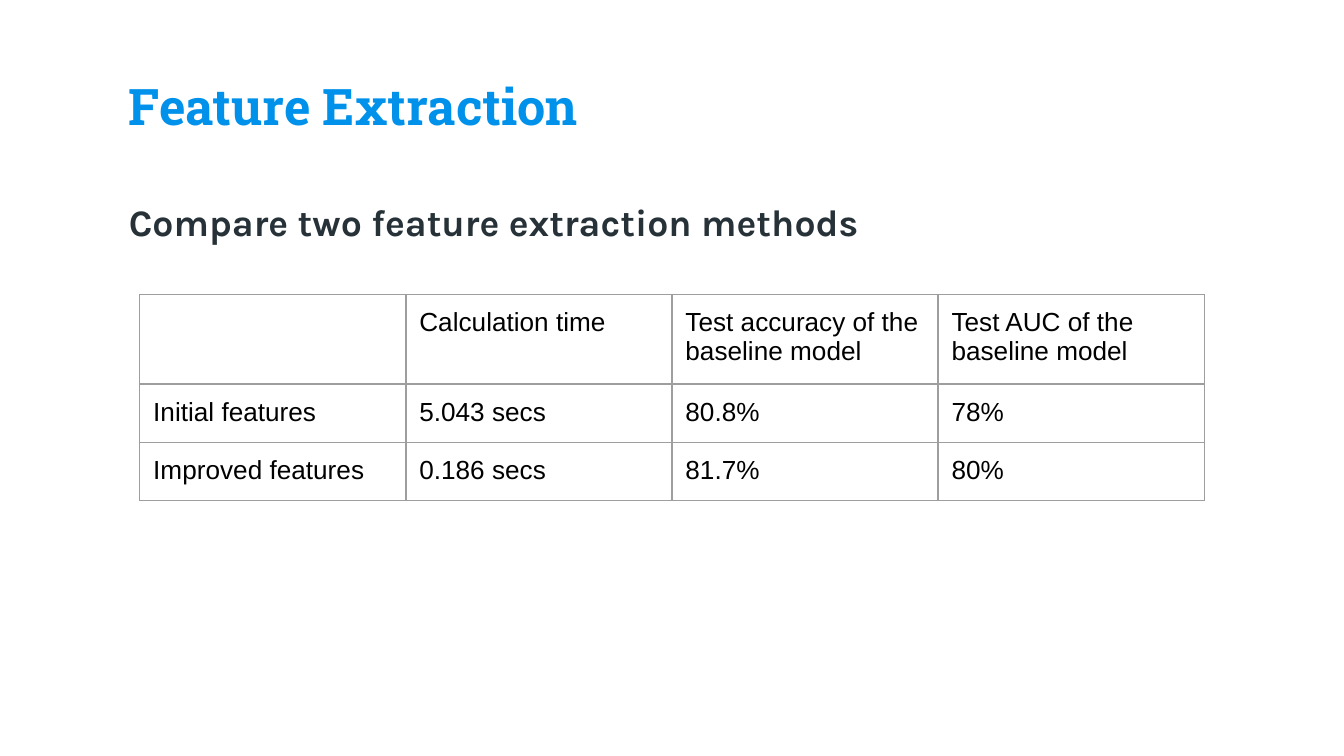
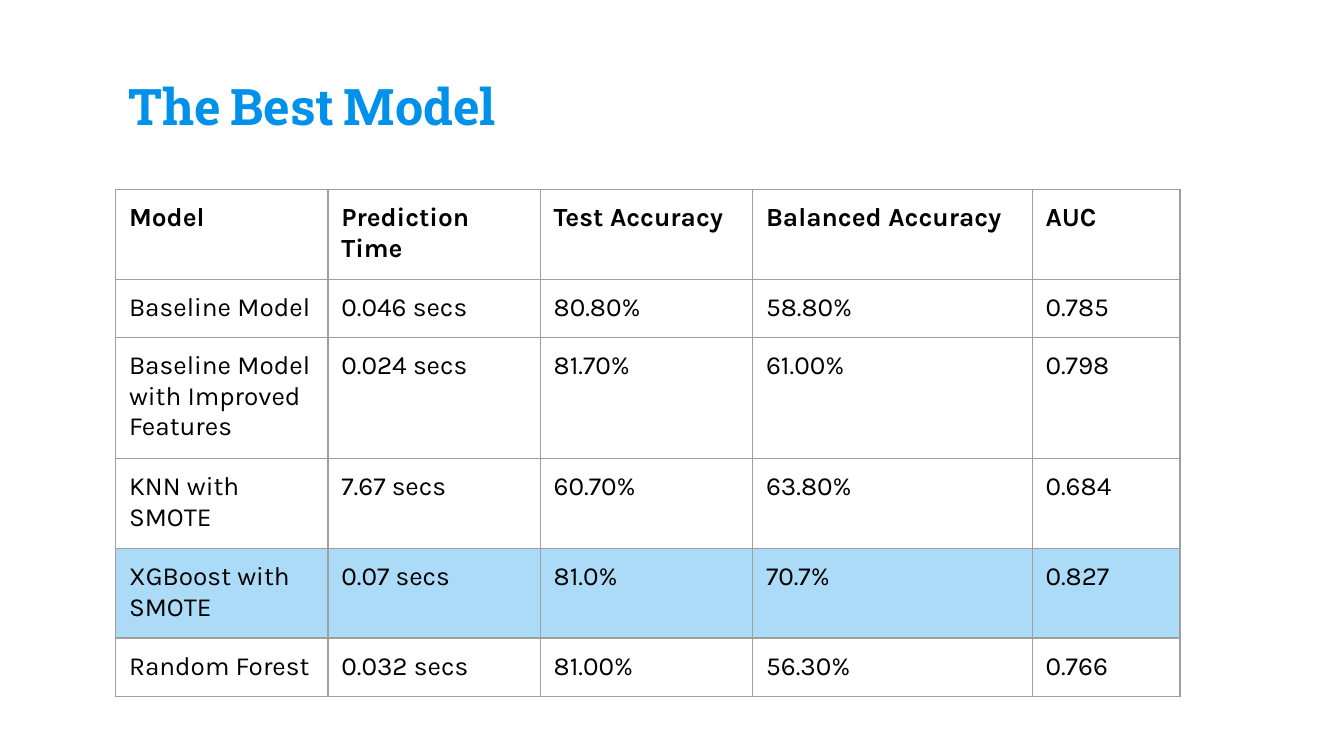
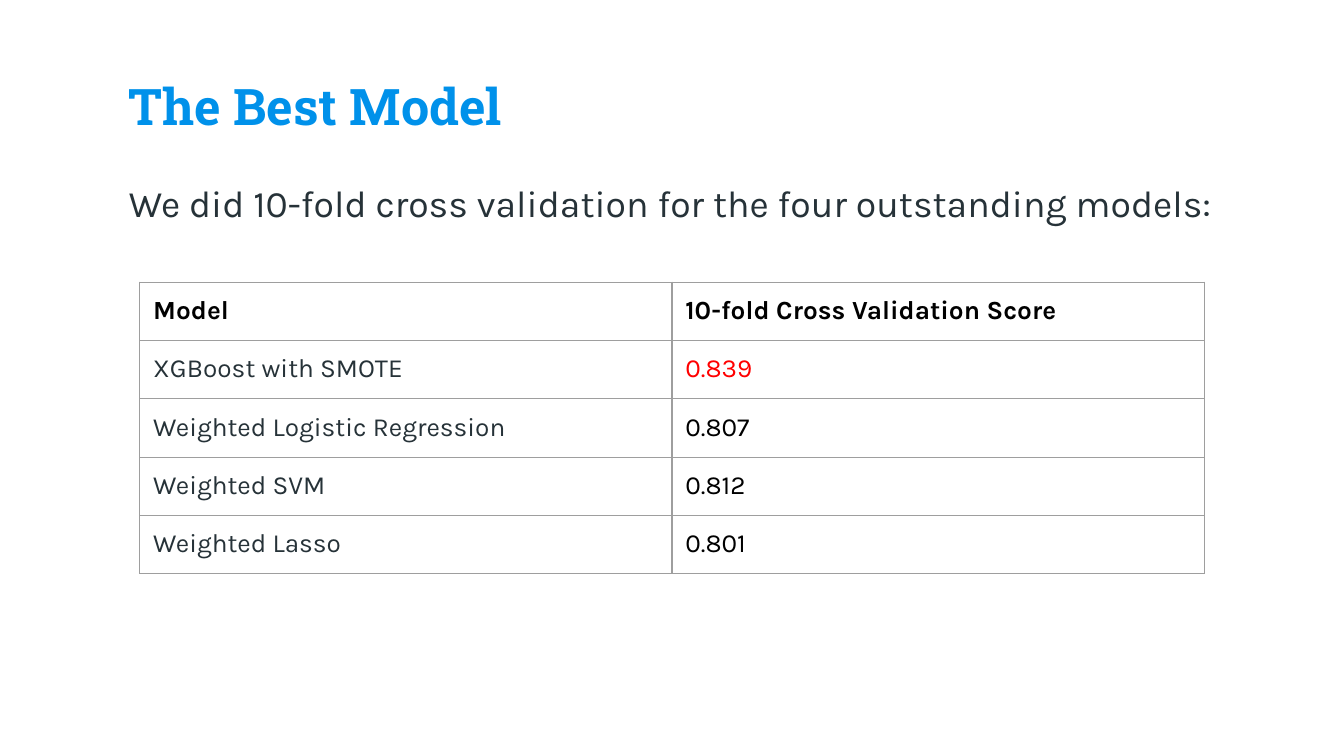
from dataclasses import dataclass

from lxml.etree import SubElement
from pptx import Presentation
from pptx.dml.color import RGBColor
from pptx.enum.text import MSO_ANCHOR
from pptx.oxml.ns import qn
from pptx.util import Inches, Pt


@dataclass(frozen=True)
class Theme:
    title_font: str = "Roboto Slab"
    body_font: str = "Karla"
    plain_font: str = "Arial"
    title_size: float = 27
    lead_size: float = 20
    cell_size: float = 14
    accent: str = "0091EA"
    ink: str = "263238"
    black: str = "000000"
    best_score: str = "FF0000"
    highlight: str = "ACDBF8"
    grid: str = "9E9E9E"
    grid_width: float = 0.75
    lead_gap: float = 6
    inset: float = 0.1


@dataclass(frozen=True)
class Style:
    font: str
    size: float
    color: str
    bold: bool = False


THEME = Theme()
TITLE = Style(THEME.title_font, THEME.title_size, THEME.accent, True)
TITLE_GAP = Style(THEME.title_font, THEME.lead_size, THEME.accent)
LEAD = Style(THEME.body_font, THEME.lead_size, THEME.ink)
LEAD_BOLD = Style(THEME.body_font, THEME.lead_size, THEME.ink, True)
PLAIN = Style(THEME.plain_font, THEME.cell_size, THEME.black)
HEADER = Style(THEME.body_font, THEME.cell_size, THEME.black, True)
VALUE = Style(THEME.body_font, THEME.cell_size, THEME.black)
MODEL_NAME = Style(THEME.body_font, THEME.cell_size, THEME.ink)
BEST_SCORE = Style(THEME.body_font, THEME.cell_size, THEME.best_score)

SLIDE_WIDTH = Inches(10)
SLIDE_HEIGHT = SLIDE_WIDTH * 9 // 16
TITLE_BOX = (0.86, 0.34, 8.28, 0.77)
TABLE_WIDTH = 7.92


def add_run(paragraph, words, style):
    run = paragraph.add_run()
    run.text = words
    run.font.name = style.font
    run.font.size = Pt(style.size)
    run.font.bold = style.bold
    run.font.color.rgb = RGBColor.from_string(style.color)


def set_insets(target):
    for side in ("left", "top", "right", "bottom"):
        setattr(target, f"margin_{side}", Inches(THEME.inset))


def add_text(slide, box, runs, anchor=MSO_ANCHOR.TOP, space_before=0):
    frame = slide.shapes.add_textbox(*map(Inches, box)).text_frame
    frame.word_wrap = True
    frame.vertical_anchor = anchor
    set_insets(frame)
    paragraph = frame.paragraphs[0]
    paragraph.space_before = Pt(space_before)
    for words, style in runs:
        add_run(paragraph, words, style)


def add_title(slide, runs):
    add_text(slide, TITLE_BOX, runs, MSO_ANCHOR.BOTTOM)


def add_lead(slide, top, words, style):
    left, _, width, _ = TITLE_BOX
    add_text(slide, (left, top, width, 3.91), [(words, style)],
             space_before=THEME.lead_gap)


def add_borders(cell):
    properties = cell._tc.get_or_add_tcPr()
    for position, edge in enumerate(("lnL", "lnR", "lnT", "lnB")):
        line = SubElement(properties, qn(f"a:{edge}"), w=str(Pt(THEME.grid_width)))
        fill = SubElement(line, qn("a:solidFill"))
        SubElement(fill, qn("a:srgbClr"), val=THEME.grid)
        properties.insert(position, line)


def add_grid(slide, box, widths, row_height, rows, style_at, best_row=None):
    holder = slide.shapes.add_table(
        len(rows), len(widths), *map(Inches, box))
    table = holder.table
    table.first_row = False
    table.horz_banding = False
    for column, width in zip(table.columns, widths):
        column.width = Inches(width)
    for row in table.rows:
        row.height = Inches(row_height)
    holder.height = Inches(box[3])
    for row_index, row in enumerate(rows):
        for column_index, words in enumerate(row):
            cell = table.cell(row_index, column_index)
            set_insets(cell)
            if row_index == best_row:
                cell.fill.solid()
                cell.fill.fore_color.rgb = RGBColor.from_string(THEME.highlight)
            else:
                cell.fill.background()
            add_borders(cell)
            style = style_at(row_index, column_index)
            paragraph = cell.text_frame.paragraphs[0]
            if style is MODEL_NAME:
                paragraph.space_before = Pt(THEME.lead_gap)
            if words:
                add_run(paragraph, words, style)


def feature_extraction(slide):
    add_title(slide, [("Feature Extraction", TITLE)])
    add_lead(slide, 1.38, "Compare two feature extraction methods", LEAD_BOLD)
    rows = [
        ("", "Calculation time", "Test accuracy of the baseline model",
         "Test AUC of the baseline model"),
        ("Initial features", "5.043 secs", "80.8%", "78%"),
        ("Improved features", "0.186 secs", "81.7%", "80%"),
    ]
    add_grid(slide, (1.04, 2.19, TABLE_WIDTH, 1.53), [TABLE_WIDTH / 4] * 4,
             0.42, rows, lambda row, column: PLAIN)


def model_comparison(slide):
    add_title(slide, [("The", TITLE), (" ", TITLE_GAP), ("Best", TITLE),
                      (" ", TITLE_GAP), ("Model", TITLE)])
    rows = [
        ("Model", "Prediction Time", "Test Accuracy", "Balanced Accuracy", "AUC"),
        ("Baseline Model", "0.046 secs", "80.80%", "58.80%", "0.785"),
        ("Baseline Model with Improved Features", "0.024 secs", "81.70%",
         "61.00%", "0.798"),
        ("KNN with SMOTE", "7.67 secs", "60.70%", "63.80%", "0.684"),
        ("XGBoost with SMOTE", "0.07 secs", "81.0%", "70.7%", "0.827"),
        ("Random Forest", "0.032 secs", "81.00%", "56.30%", "0.766"),
    ]
    add_grid(slide, (0.86, 1.41, TABLE_WIDTH, 3.3),
             [1.58, 1.58, 1.58, 2.08, 1.1], 0.41, rows,
             lambda row, column: VALUE if row else HEADER, best_row=4)


def validation_style(row, column):
    if row == 0:
        return HEADER
    if column == 0:
        return MODEL_NAME
    return BEST_SCORE if row == 1 else VALUE


def cross_validation(slide):
    add_title(slide, [("The Best Model", TITLE)])
    add_lead(slide, 1.24,
             "We did 10-fold cross validation for the four outstanding models:",
             LEAD)
    rows = [
        ("Model", "10-fold Cross Validation Score"),
        ("XGBoost with SMOTE", "0.839"),
        ("Weighted Logistic Regression", "0.807"),
        ("Weighted SVM", "0.812"),
        ("Weighted Lasso", "0.801"),
    ]
    add_grid(slide, (1.04, 2.1, TABLE_WIDTH, 2.17), [TABLE_WIDTH / 2] * 2,
             0.42, rows, validation_style)


def main():
    deck = Presentation()
    deck.slide_width = SLIDE_WIDTH
    deck.slide_height = SLIDE_HEIGHT
    for build in (feature_extraction, model_comparison, cross_validation):
        build(deck.slides.add_slide(deck.slide_layouts[6]))
    deck.save("out.pptx")


if __name__ == "__main__":
    main()
